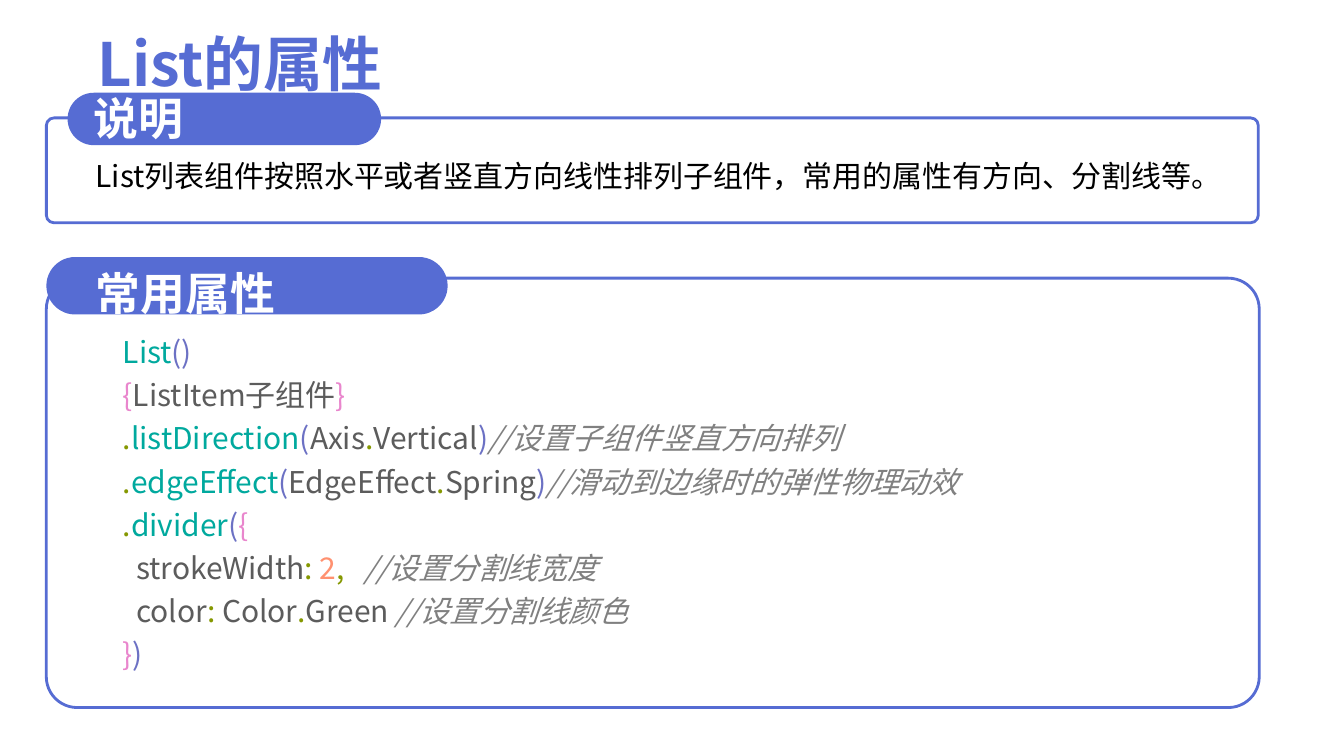
from lxml import etree
from pptx import Presentation
from pptx.dml.color import RGBColor
from pptx.enum.shapes import MSO_SHAPE
from pptx.enum.text import MSO_ANCHOR
from pptx.oxml.ns import qn
from pptx.util import Inches, Pt

ROUNDED = MSO_SHAPE.ROUNDED_RECTANGLE
TOP, MIDDLE = MSO_ANCHOR.TOP, MSO_ANCHOR.MIDDLE
FONT = "Noto Sans CJK SC"
COLORS = {
    "brand": "566CD3", "white": "FFFFFF", "black": "000000",
    "name": "00A99E", "paren": "6C71C4", "brace": "E986CD", "plain": "5C5C5C",
    "mark": "859801", "number": "FF9170", "comment": "808080",
}
TITLE_SIZE, HEADING_SIZE, BODY_SIZE = 42.6, 32, 21.4
LINE_SPACING = 1.2

TITLE = "List的属性"
DESCRIPTION = "List列表组件按照水平或者竖直方向线性排列子组件，常用的属性有方向、分割线等。"
CODE = [
    [("List", "name"), ("()", "paren")],
    [("{", "brace"), ("ListItem子组件", "plain"), ("}", "brace")],
    [(".", "mark"), ("listDirection", "name"), ("(", "paren"), ("Axis", "plain"),
     (".", "mark"), ("Vertical", "plain"), (")", "paren"),
     ("//设置子组件竖直方向排列", "comment")],
    [(".", "mark"), ("edgeEffect", "name"), ("(", "paren"), ("EdgeEffect", "plain"),
     (".", "mark"), ("Spring", "plain"), (")", "paren"),
     ("//滑动到边缘时的弹性物理动效", "comment")],
    [(".", "mark"), ("divider", "name"), ("(", "paren"), ("{", "brace")],
    [("  strokeWidth", "plain"), (": ", "mark"), ("2", "number"), (",   ", "mark"),
     ("//设置分割线宽度", "comment")],
    [("  color", "plain"), (": ", "mark"), ("Color", "plain"), (".", "mark"),
     ("Green ", "plain"), ("//设置分割线颜色", "comment")],
    [("}", "brace"), (")", "paren")],
]
# Each panel: heading, heading area, pill area, frame area (left, top, width, height)
PANELS = [
    ("常用属性", (0.85, 2.57, 3.63, 0.55), (0.46, 2.55, 3.98, 0.57), (0.46, 2.76, 12.03, 4.26)),
    ("说明", (0.83, 0.84, 3.63, 0.55), (0.67, 0.92, 3.11, 0.52), (0.46, 1.17, 12.02, 1.04)),
]


def color(name):
    return RGBColor.from_string(COLORS[name])


def add_text(slide, area, lines, size, bold=False, anchor=TOP, inset=(0.1, 0.05), indent=0):
    """Add a text box; each line is a list of (text, colour name) spans."""
    box = slide.shapes.add_textbox(*map(Inches, area))
    frame = box.text_frame
    frame.word_wrap = True
    frame.vertical_anchor = anchor
    frame.margin_left = frame.margin_right = Inches(inset[0])
    frame.margin_top = frame.margin_bottom = Inches(inset[1])
    for index, line in enumerate(lines):
        para = frame.paragraphs[0] if index == 0 else frame.add_paragraph()
        para.line_spacing = LINE_SPACING
        if indent:
            para._p.get_or_add_pPr().set("marL", str(Inches(indent)))
        for text, color_name in line:
            span = para.add_run()
            span.text = text
            font = span.font
            font.name, font.size, font.bold = FONT, Pt(size), bold
            font.italic = color_name == "comment"
            font.color.rgb = color(color_name)
            east_asian = etree.Element(qn("a:ea"), typeface=FONT)
            font._element.find(qn("a:latin")).addnext(east_asian)


def add_rounded(slide, area, corner, filled):
    shape = slide.shapes.add_shape(ROUNDED, *map(Inches, area))
    shape.shadow.inherit = False
    shape.adjustments[0] = corner
    if filled:
        shape.fill.solid()
        shape.fill.fore_color.rgb = color("brand")
        shape.line.fill.background()
    else:
        shape.fill.background()
        shape.line.color.rgb = color("brand")
        shape.line.width = Pt(2)


def main():
    deck = Presentation()
    deck.slide_width, deck.slide_height = Inches(13.33), Inches(7.5)
    slide = deck.slides.add_slide(deck.slide_layouts[6])
    add_text(slide, (0.97, 0.13, 9.43, 0.86), [[(TITLE, "brand")]], TITLE_SIZE,
             bold=True, inset=(0, 0))
    add_text(slide, (0.67, 3.19, 12.03, 3.55), CODE, BODY_SIZE, indent=0.45)
    add_text(slide, (0.85, 1.44, 11.63, 0.53), [[(DESCRIPTION, "black")]], BODY_SIZE)
    for heading, heading_area, pill_area, frame_area in PANELS:
        add_rounded(slide, pill_area, 0.5, filled=True)
        add_rounded(slide, frame_area, 0.072, filled=False)
        add_text(slide, heading_area, [[(heading, "white")]], HEADING_SIZE,
                 bold=True, anchor=MIDDLE)
    deck.save("out.pptx")


if __name__ == "__main__":
    main()
